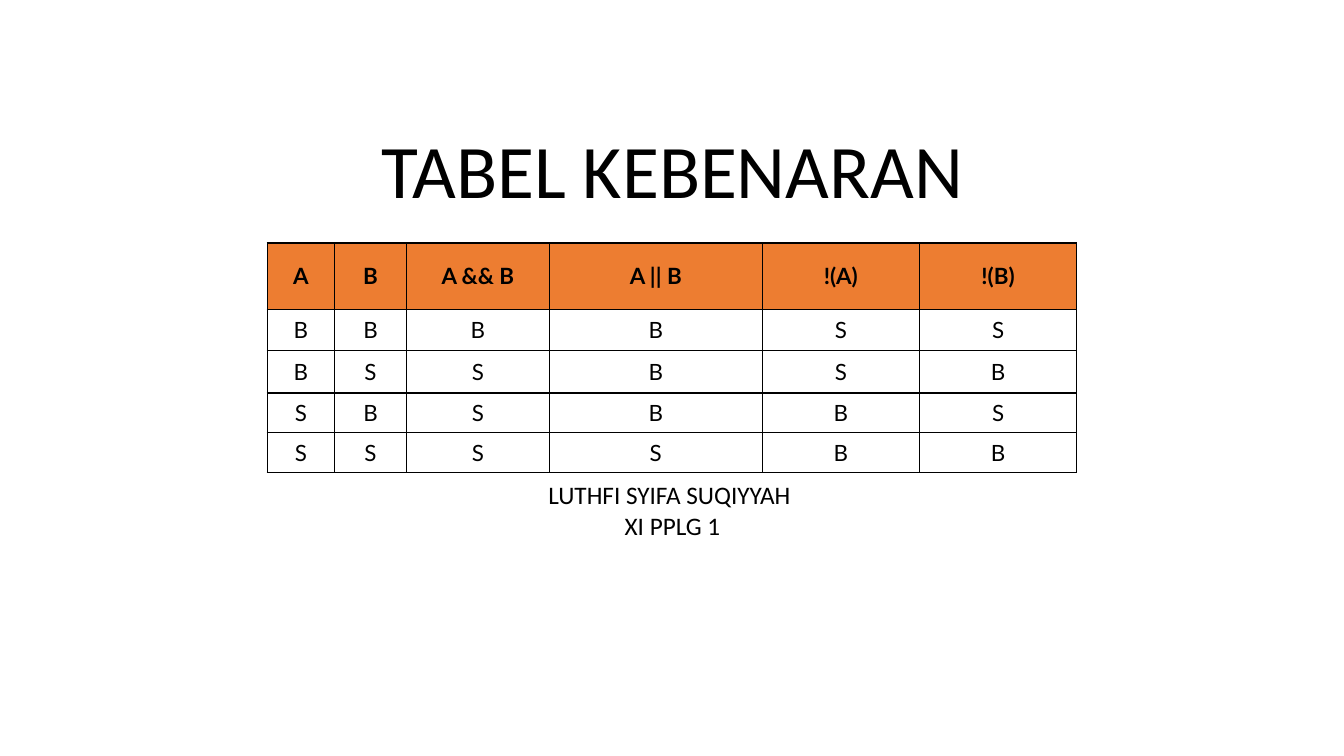
from lxml.etree import SubElement
from pptx import Presentation
from pptx.dml.color import RGBColor
from pptx.enum.text import MSO_ANCHOR, PP_ALIGN
from pptx.oxml.ns import qn
from pptx.util import Inches, Pt

HEADS = ["A", "B", "A && B", "A || B", "!(A)", "!(B)"]
TRUTH = ["BBBBSS", "BSSBSB", "SBSBBS", "SSSSBB"]
WIDTHS = [0.67, 0.71, 1.42, 2.11, 1.56, 1.56]
HEIGHTS = [0.66, 0.41, 0.42, 0.39, 0.4]


def color(code):
    return RGBColor.from_string(code)


class Board:
    ink = "000000"
    head = "ED7D31"
    body = "FFFFFF"

    def __init__(self, deck):
        self.slide = deck.slides.add_slide(deck.slide_layouts[6])

    def style(self, para, font, size, align, bold=False):
        para.alignment = align
        for run in para.runs:
            run.font.name = font
            run.font.size = Pt(size)
            run.font.bold = bold
            run.font.color.rgb = color(self.ink)

    def text(self, box, lines, size, aligns, anchor=MSO_ANCHOR.TOP, space=1.0):
        frame = self.slide.shapes.add_textbox(*map(Inches, box)).text_frame
        frame.word_wrap = True
        frame.vertical_anchor = anchor
        frame.text = "\n".join(lines)
        for para, align in zip(frame.paragraphs, aligns):
            para.line_spacing = space
            self.style(para, "Calibri", size, align)

    def border(self, cell):
        """Draw a 1 pt line on all four sides, placed before the cell fill."""
        props = cell._tc.get_or_add_tcPr()
        for spot, side in enumerate(("a:lnL", "a:lnR", "a:lnT", "a:lnB")):
            line = SubElement(props, qn(side), w=str(Pt(1)))
            fill = SubElement(line, qn("a:solidFill"))
            SubElement(fill, qn("a:srgbClr"), val=self.ink)
            props.insert(spot, line)

    def table(self, left, top, rows, widths, heights):
        size = map(Inches, (left, top, sum(widths), sum(heights)))
        grid = self.slide.shapes.add_table(len(rows), len(widths), *size).table
        for col, width in zip(grid.columns, widths):
            col.width = Inches(width)
        for row, height in zip(grid.rows, heights):
            row.height = Inches(height)
        for r, row in enumerate(rows):
            for c, word in enumerate(row):
                cell = grid.cell(r, c)
                cell.text_frame.text = word
                cell.vertical_anchor = MSO_ANCHOR.MIDDLE
                cell.fill.solid()
                cell.fill.fore_color.rgb = color(self.body if r else self.head)
                self.style(cell.text_frame.paragraphs[0], "Lato", 16,
                           PP_ALIGN.CENTER, bold=r == 0)
                self.border(cell)


def main():
    deck = Presentation()
    deck.slide_width = Inches(13.33)
    deck.slide_height = Inches(7.5)
    board = Board(deck)
    board.text((1.67, 1.23, 10, 0.95), ["TABEL KEBENARAN"], 54,
               [PP_ALIGN.CENTER], MSO_ANCHOR.BOTTOM, 0.9)
    board.table(2.65, 2.41, [HEADS, *TRUTH], WIDTHS, HEIGHTS)
    board.text((5.34, 4.71, 2.66, 0.71), ["LUTHFI SYIFA SUQIYYAH", "XI PPLG 1"],
               18, [PP_ALIGN.LEFT, PP_ALIGN.CENTER])
    deck.save("out.pptx")


if __name__ == "__main__":
    main()
